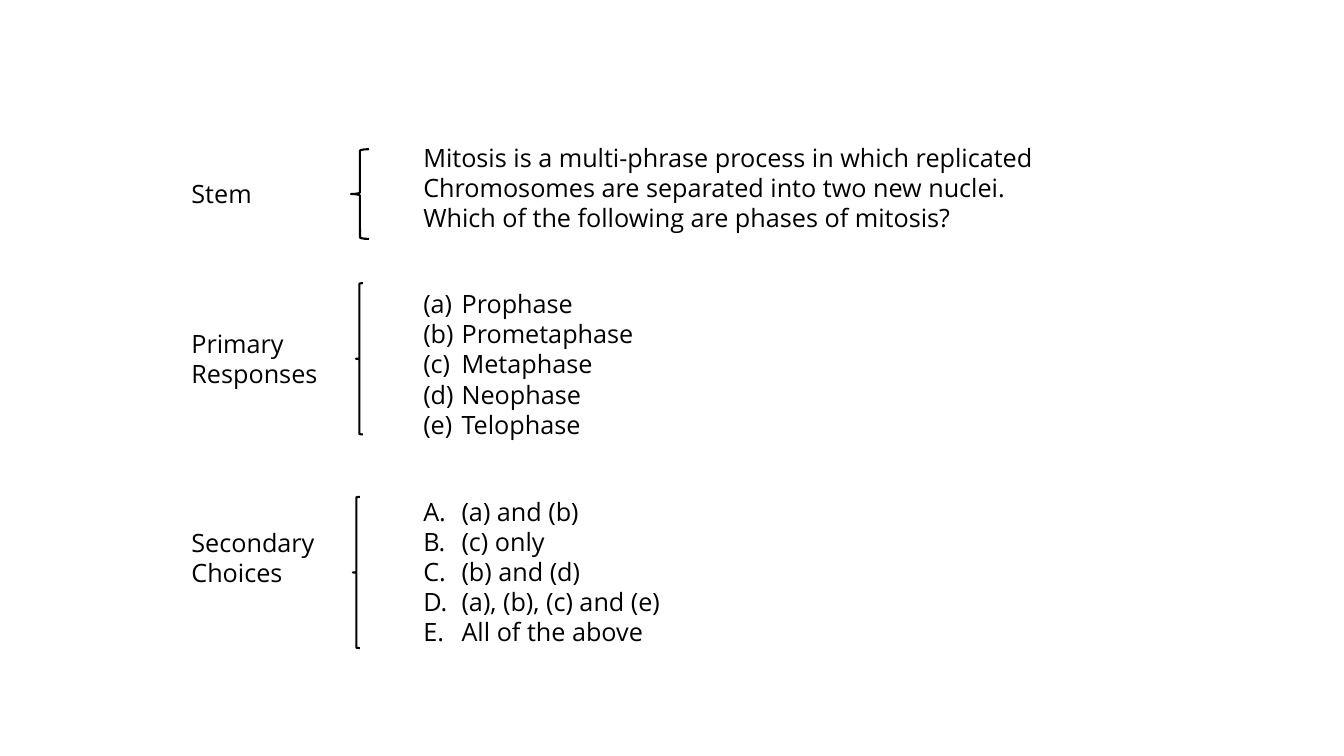
import pptx
import pptx.util
import pptx.dml.color
import pptx.enum.shapes
import pptx.enum.text
import lxml.etree
from pptx.util import Inches

COLORS = {"ink": "000000", "page": "FFFFFF"}


class Deck:
    def __init__(self):
        self.file = pptx.Presentation()
        self.file.slide_width = Inches(13.33)
        self.file.slide_height = Inches(7.5)
        self.slide = self.file.slides.add_slide(self.file.slide_layouts[6])
        self.font = "Open Sans"
        self.size = pptx.util.Pt(18)
        fill = self.slide.background.fill
        fill.solid()
        fill.fore_color.rgb = self.color("page")

    def color(self, name):
        return pptx.dml.color.RGBColor.from_string(COLORS[name])

    def text(self, left, top, width, height, lines, number=None):
        box = self.slide.shapes.add_textbox(
            Inches(left), Inches(top), Inches(width), Inches(height))
        frame = box.text_frame
        frame.word_wrap = True
        frame.auto_size = pptx.enum.text.MSO_AUTO_SIZE.SHAPE_TO_FIT_TEXT
        frame.text = "\n".join(lines)
        for para in frame.paragraphs:
            para.font.name = self.font
            para.font.size = self.size
            para.font.color.rgb = self.color("ink")
            if number:
                self.number(para, number)

    def number(self, para, kind):
        props = para._p.get_or_add_pPr()
        props.set("marL", str(Inches(0.38)))
        props.set("indent", str(-Inches(0.38)))
        mark = lxml.etree.Element(pptx.oxml.ns.qn("a:buAutoNum"), type=kind)
        props.insert(0, mark)

    def brace(self, left, top, width, height):
        shape = self.slide.shapes.add_shape(
            pptx.enum.shapes.MSO_SHAPE.LEFT_BRACE,
            Inches(left), Inches(top), Inches(width), Inches(height))
        shape.shadow.inherit = False
        shape.fill.background()
        shape.line.color.rgb = self.color("ink")
        shape.line.width = pptx.util.Pt(1.5)


deck = Deck()

# Each part: label, label top, brace box, body top, body lines, numbering
parts = [
    (["Stem"], 1.72, (3.48, 1.48, 0.18, 0.89), 1.36,
     ["Mitosis is a multi-phrase process in which replicated",
      "Chromosomes are separated into two new nuclei.",
      "Which of the following are phases of mitosis?"], None),
    (["Primary", "Responses"], 3.21, (3.53, 2.81, 0.07, 1.5), 2.81,
     ["Prophase", "Prometaphase", "Metaphase", "Neophase", "Telophase"],
     "alphaLcParenBoth"),
    (["Secondary", "Choices"], 5.18, (3.5, 4.93, 0.07, 1.5), 4.87,
     ["(a) and (b)", "(c) only", "(b) and (d)", "(a), (b), (c) and (e)",
      "All of the above"], "alphaUcPeriod"),
]


def tall(lines):
    return 0.1 + 0.3 * len(lines)


# Question parts with their braces and labels
for label, high, brace, top, body, kind in parts:
    deck.text(4.1, top, 6.77, tall(body), body, kind)
    deck.brace(*brace)
    deck.text(1.8, high, 1.68, tall(label), label)

deck.file.save("out.pptx")
